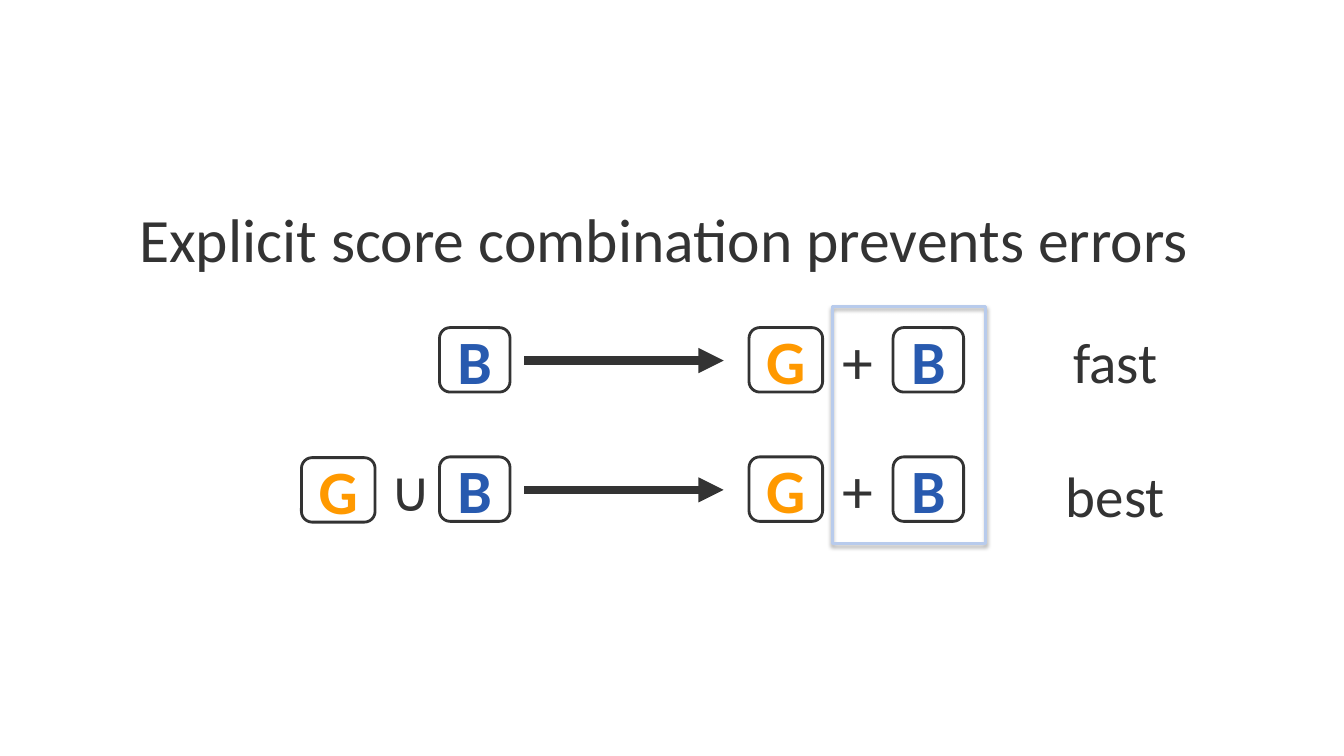
from dataclasses import dataclass

from lxml.etree import SubElement
from pptx import Presentation
from pptx.dml.color import RGBColor
from pptx.enum.shapes import MSO_CONNECTOR, MSO_SHAPE
from pptx.enum.text import MSO_ANCHOR, PP_ALIGN
from pptx.oxml.ns import qn
from pptx.util import Inches, Pt


@dataclass(frozen=True)
class Theme:
    font: str = "Calibri"
    ink: str = "333333"
    blue: str = "285AAF"
    gold: str = "FF9900"
    pale: str = "B8CBEC"
    white: str = "FFFFFF"
    shade: str = "000000"
    large: float = 44
    small: float = 40
    label: float = 40.7
    thin: float = 2
    thick: float = 6


class Board:
    """Draw on one slide, measured in a grid of 100 columns by 100 rows."""

    def __init__(self, deck, theme):
        self.theme = theme
        self.slide = deck.slides.add_slide(deck.slide_layouts[6])
        self.shapes = self.slide.shapes
        self.col = deck.slide_width / 100
        self.row = deck.slide_height / 100

    def place(self, left, mid, width, height):
        return (round(left * self.col), round((mid - height / 2) * self.row),
                round(width * self.col), round(height * self.row))

    def letter(self, shape, words, size, color, align=PP_ALIGN.CENTER, bold=False):
        frame = shape.text_frame
        frame.word_wrap = True
        frame.vertical_anchor = MSO_ANCHOR.MIDDLE
        frame.margin_top = frame.margin_bottom = 0
        para = frame.paragraphs[0]
        para.text = words
        para.alignment = align
        font = para.font
        font.name, font.size, font.bold = self.theme.font, Pt(size), bold
        font.color.rgb = RGBColor.from_string(color)

    def outline(self, shape, color, width):
        shape.line.color.rgb = RGBColor.from_string(color)
        shape.line.width = Pt(width)

    def text(self, words, spot, size, align=PP_ALIGN.CENTER):
        box = self.shapes.add_textbox(*self.place(*spot))
        self.letter(box, words, size, self.theme.ink, align)

    def sign(self, mark, left, mid, size):
        self.text(mark, (left, mid, 3, 11), size, PP_ALIGN.LEFT)

    def tile(self, word, left, mid):
        color, width = {"B": (self.theme.blue, 5.25), "G": (self.theme.gold, 5.48)}[word]
        tile = self.shapes.add_shape(MSO_SHAPE.ROUNDED_RECTANGLE,
                                     *self.place(left, mid, width, 8.53))
        tile.shadow.inherit = False
        tile.fill.solid()
        tile.fill.fore_color.rgb = RGBColor.from_string(self.theme.white)
        self.outline(tile, self.theme.ink, self.theme.thin)
        tile.text_frame.margin_left = tile.text_frame.margin_right = 0
        self.letter(tile, word, self.theme.large, color, bold=True)

    def arrow(self, start, end, mid):
        level = round(mid * self.row)
        arrow = self.shapes.add_connector(
            MSO_CONNECTOR.STRAIGHT, round(start * self.col), level,
            round(end * self.col), level)
        self.outline(arrow, self.theme.ink, self.theme.thick)
        props = arrow.element.spPr
        SubElement(props.find(qn("a:ln")), qn("a:tailEnd"), type="triangle")
        SubElement(props, qn("a:effectLst"))

    def frame(self, spot):
        frame = self.shapes.add_shape(MSO_SHAPE.RECTANGLE, *self.place(*spot))
        frame.fill.background()
        self.outline(frame, self.theme.pale, self.theme.thin)
        frame.shadow.inherit = False
        shade = SubElement(frame.element.spPr.find(qn("a:effectLst")), qn("a:outerShdw"),
                           blurRad=str(Pt(3.1)), dist=str(Pt(1.8)),
                           dir="5400000", rotWithShape="0")
        tint = SubElement(shade, qn("a:srgbClr"), val=self.theme.shade)
        SubElement(tint, qn("a:alpha"), val="35000")


def main():
    deck = Presentation()
    deck.slide_width, deck.slide_height = Inches(13.33), Inches(7.5)
    theme = Theme()
    board = Board(deck, theme)
    board.text("Explicit score combination prevents errors",
               (3.53, 31.47, 91.8, 14.67), theme.large)
    top, low = 47.6, 64.7
    for mid in (top, low):
        board.arrow(39, 53.85, mid + 0.1)
        board.tile("B", 32.7, mid)
        board.tile("G", 55.73, mid)
        board.tile("B", 66.45, mid)
        board.sign("+", 61.95, mid, theme.large)
    board.sign("∪", 28.35, low, theme.small)
    board.tile("G", 22.43, low + 0.1)
    for word, mid in (("fast", 47.73), ("best", 65.47)):
        board.text(word, (77.85, mid, 10.28, 9.07), theme.label)
    board.frame((61.95, 56.2, 11.4, 31.33))
    deck.save("out.pptx")


if __name__ == "__main__":
    main()
